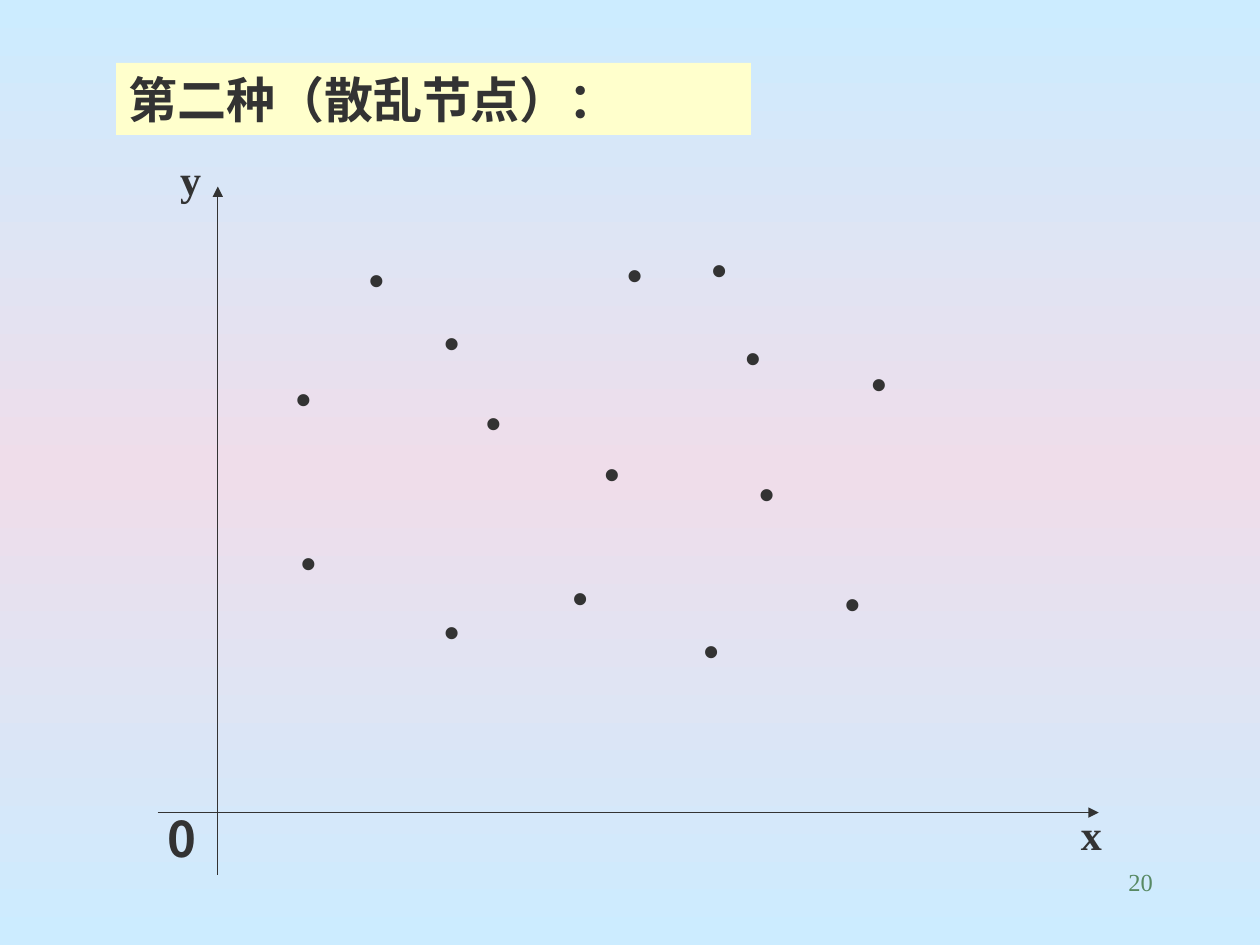
from copy import deepcopy

from pptx import Presentation
from pptx.dml.color import RGBColor
from pptx.enum.shapes import MSO_CONNECTOR, MSO_SHAPE
from pptx.enum.text import MSO_ANCHOR, PP_ALIGN
from pptx.oxml.ns import qn
from pptx.oxml.xmlchemy import OxmlElement
from pptx.util import Cm, Pt

INK = "333333"
SERIF = "Times New Roman"
HAN = "Noto Sans CJK SC"
# Left and top of each node's text box, in cm
NODES = [
    (7.19, 4.98), (8.71, 6.25), (11.94, 8.89), (14.1, 4.78), (14.78, 6.55),
    (12.4, 4.88), (15.06, 9.3), (17.32, 7.09), (9.55, 7.87), (5.72, 7.39),
    (5.82, 10.69), (8.71, 12.09), (11.3, 11.4), (13.94, 12.47), (16.79, 11.51),
]


def color(code):
    return RGBColor.from_string(code)


def paint_back(slide, codes):
    """Fill the background with evenly spaced gradient stops."""
    fill = slide.background.fill
    fill.gradient()
    fill.gradient_angle = 90
    stops = slide.element.find(".//" + qn("a:gsLst"))
    while len(stops) < len(codes):
        stops.append(deepcopy(stops[0]))
    for i, (stop, code) in enumerate(zip(fill.gradient_stops, codes)):
        stop.position = i / (len(codes) - 1)
        stop.color.rgb = color(code)


def write(shape, text, size, font, bold=True, tint=INK, align=PP_ALIGN.LEFT, wrap=True):
    frame = shape.text_frame
    frame.text = text
    frame.word_wrap = wrap
    frame.vertical_anchor = MSO_ANCHOR.TOP
    para = frame.paragraphs[0]
    para.alignment = align
    run = para.runs[0]
    run.font.size = Pt(size)
    run.font.name = font
    run.font.bold = bold
    run.font.color.rgb = color(tint)
    east = OxmlElement("a:ea")
    east.set("typeface", HAN)
    run.font._element.find(qn("a:latin")).addnext(east)


def add_text(shapes, box, *args, **style):
    write(shapes.add_textbox(*map(Cm, box)), *args, **style)


def add_title(shapes, box, text):
    bar = shapes.add_shape(MSO_SHAPE.RECTANGLE, *map(Cm, box))
    bar.shadow.inherit = False
    bar.fill.solid()
    bar.fill.fore_color.rgb = color("FFFFCC")
    bar.line.fill.background()
    write(bar, text, 28, SERIF)


def add_axis(shapes, *ends):
    """Draw an axis with its arrowhead at the second point."""
    axis = shapes.add_connector(MSO_CONNECTOR.STRAIGHT, *map(Cm, ends))
    axis.line.color.rgb = color(INK)
    axis.line.width = Pt(0.75)
    head = OxmlElement("a:tailEnd")
    head.set("type", "triangle")
    axis.line._get_or_add_ln().append(head)
    axis._element.spPr.append(OxmlElement("a:effectLst"))


def main():
    deck = Presentation()
    deck.slide_width, deck.slide_height = Cm(25.4), Cm(19.05)
    slide = deck.slides.add_slide(deck.slide_layouts[6])
    paint_back(slide, ["CCECFF", "EFDDEA", "CCECFF"])
    add_title(slide.shapes, (2.34, 1.27, 12.8, 1.45), "第二种（散乱节点）：")

    plot = slide.shapes.add_group_shape().shapes
    add_axis(plot, 3.18, 16.38, 22.15, 16.38)
    add_axis(plot, 4.39, 17.63, 4.39, 3.76)
    for left, top in NODES:
        add_text(plot, (left, top, 1.75, 1.27), "•", 24, "Arial")
    add_text(plot, (3.38, 2.97, 1.47, 1.27), "y", 24, SERIF)
    add_text(plot, (21.54, 16.18, 1.85, 1.27), "x", 24, SERIF)
    add_text(plot, (3.12, 16.18, 1.09, 1.45), "0", 28, HAN, wrap=False)

    add_text(slide.shapes, (18.21, 17.35, 5.28, 1.27), "20", 14, SERIF,
             bold=False, tint="578963", align=PP_ALIGN.RIGHT)
    deck.save("out.pptx")


if __name__ == "__main__":
    main()
